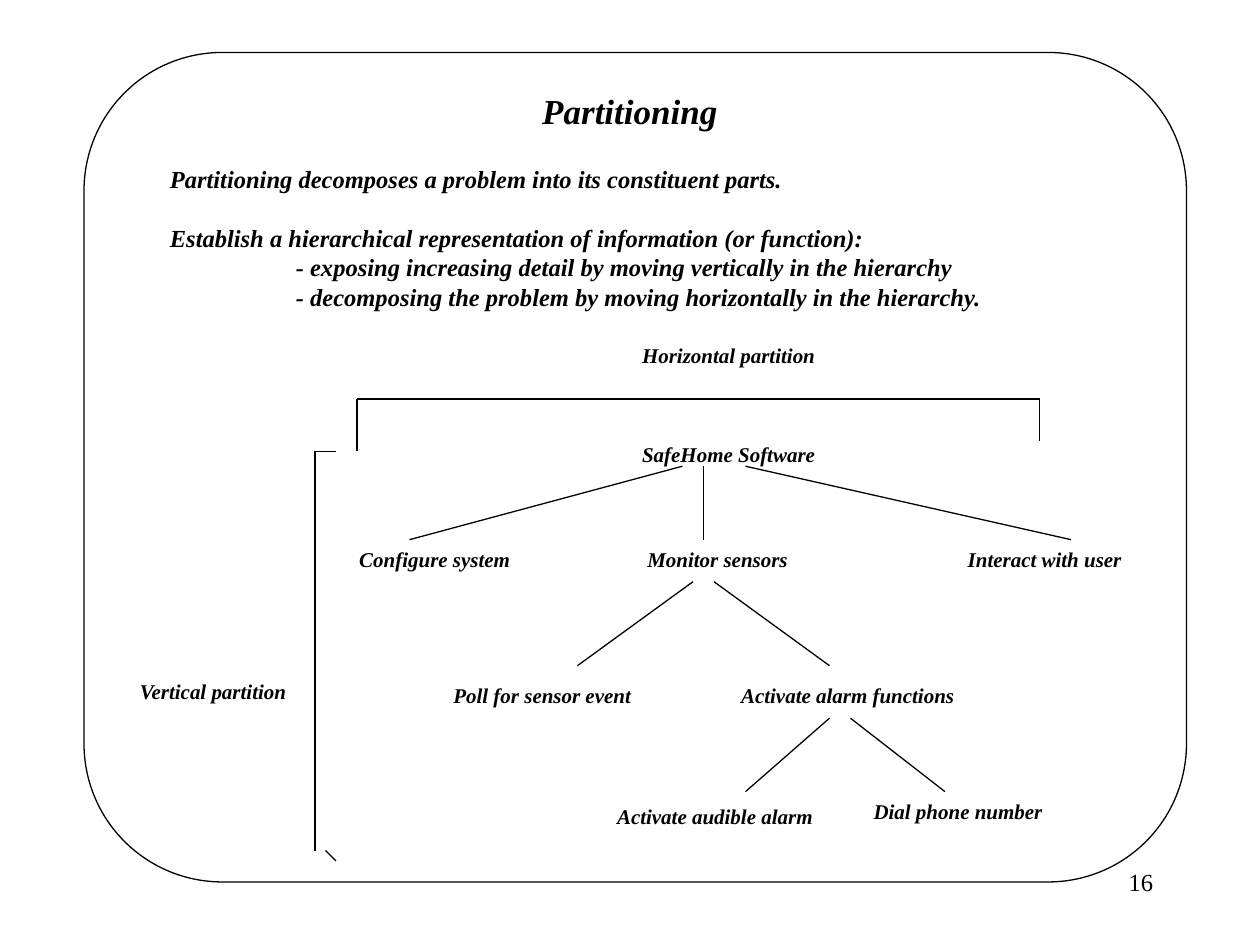
from lxml import etree
from pptx import Presentation
from pptx.dml.color import RGBColor
from pptx.enum.shapes import MSO_CONNECTOR, MSO_SHAPE
from pptx.enum.text import MSO_ANCHOR, MSO_AUTO_SIZE, PP_ALIGN
from pptx.oxml.ns import qn
from pptx.util import Emu, Pt

SCALE = 7620  # EMU per px, 120 px to the inch
FONT = "Times New Roman"
COLORS = {"ink": "000000"}
LEFT, CENTER, RIGHT = PP_ALIGN.LEFT, PP_ALIGN.CENTER, PP_ALIGN.RIGHT
STRAIGHT = MSO_CONNECTOR.STRAIGHT
ALTERNATE_PROCESS = MSO_SHAPE.FLOWCHART_ALTERNATE_PROCESS
LABEL_HEIGHT = 36
LABEL_SLACK = 3  # extra room on each side, so that a label stays on one line
INDENT = 120


def px(value):
    return Emu(value * SCALE)


def ink():
    return RGBColor.from_string(COLORS["ink"])


def style_line(line):
    line.color.rgb = ink()
    line.width = Pt(0.75)


def add_text(slide, box, lines, size, align=LEFT, bold=True, wrap=True):
    """Add a text box; lines holds (text, points of space before) pairs."""
    shape = slide.shapes.add_textbox(*map(px, box))
    frame = shape.text_frame
    frame.word_wrap = wrap
    for index, (text, space_before) in enumerate(lines):
        paragraph = frame.add_paragraph() if index else frame.paragraphs[0]
        paragraph.alignment = align
        paragraph.space_before = Pt(space_before)
        run = paragraph.add_run()
        run.text = text
        run.font.name = FONT
        run.font.size = Pt(size)
        run.font.bold = run.font.italic = bold
        run.font.color.rgb = ink()
    return frame


def add_label(slide, left, top, width, text):
    box = (left - LABEL_SLACK, top, width + 2 * LABEL_SLACK, LABEL_HEIGHT)
    frame = add_text(slide, box, [(text, 0)], 12, CENTER, wrap=False)
    frame.auto_size = MSO_AUTO_SIZE.SHAPE_TO_FIT_TEXT


def add_path(slide, origin, points):
    """Join successive points, given relative to origin, with straight lines."""
    left, top = origin
    places = [(px(left + x), px(top + y)) for x, y in points]
    for start, end in zip(places, places[1:]):
        connector = slide.shapes.add_connector(STRAIGHT, *start, *end)
        style_line(connector.line)
        etree.SubElement(connector._element.spPr, qn("a:effectLst"))


def add_frame(slide, box):
    shape = slide.shapes.add_shape(ALTERNATE_PROCESS, *map(px, box))
    shape.shadow.inherit = False
    shape.fill.background()
    style_line(shape.line)


def add_title(slide, box):
    frame = add_text(slide, box, [("Partitioning", 0)], 20, CENTER)
    frame.vertical_anchor = MSO_ANCHOR.MIDDLE


def add_explanation(slide, box):
    frame = add_text(slide, box, [
        ("Partitioning decomposes a problem into its constituent parts.", 0),
        ("Establish a hierarchical representation of information (or function):", 17),
        ("- exposing increasing detail by moving vertically in the hierarchy", 0),
        ("- decomposing the problem by moving horizontally in the hierarchy.", 0),
    ], 14)
    for paragraph in frame.paragraphs[2:]:
        paragraph._p.get_or_add_pPr().set("marL", str(px(INDENT)))


def add_function_tree(slide, box):
    left, top = box[:2]
    labels = [
        (270, 1, 188, "SafeHome Software"),
        (0, 101, 168, "Configure system"),
        (275, 101, 157, "Monitor sensors"),
        (580, 101, 170, "Interact with user"),
        (90, 230, 193, "Poll for sensor event"),
        (364, 230, 227, "Activate alarm functions"),
        (246, 345, 210, "Activate audible alarm"),
        (490, 341, 185, "Dial phone number"),
    ]
    # Each level: top and bottom of its branches, then their x at both ends
    levels = [
        (30, 100, [(320, 60), (340, 340), (380, 690)]),
        (140, 220, [(330, 220), (350, 460)]),
        (270, 340, [(460, 380), (480, 570)]),
    ]
    for x, y, width, text in labels:
        add_label(slide, left + x, top + y, width, text)
    for start_y, end_y, branches in levels:
        for start_x, end_x in branches:
            add_path(slide, (left, top), [(start_x, start_y), (end_x, end_y)])


def add_horizontal_partition(slide, box):
    left, top, width, height = box
    add_label(slide, left + 260, top, 188, "Horizontal partition")
    add_path(slide, (left, top),
             [(0, height), (0, 60), (width, 60), (width, height - 10)])


def add_vertical_partition(slide, box):
    left, top, width, height = box
    add_label(slide, left, top + 210, 166, "Vertical partition")
    add_path(slide, (left, top),
             [(width, 0), (width - 20, 0), (width - 20, height - 10)])
    add_path(slide, (left, top), [(width - 10, height - 10), (width, height)])


def add_page_number(slide, box):
    add_text(slide, box, [("16", 0)], 14, RIGHT, bold=False)


def main():
    presentation = Presentation()
    presentation.slide_width, presentation.slide_height = px(1200), px(900)
    slide = presentation.slides.add_slide(presentation.slide_layouts[6])
    add_frame(slide, (80, 50, 1050, 790))
    add_title(slide, (300, 80, 600, 50))
    add_explanation(slide, (150, 150, 910, 209))
    add_function_tree(slide, (330, 414, 750, 380))
    add_horizontal_partition(slide, (340, 320, 650, 110))
    add_vertical_partition(slide, (120, 430, 200, 390))
    add_page_number(slide, (860, 820, 250, 60))
    presentation.save("out.pptx")


if __name__ == "__main__":
    main()
